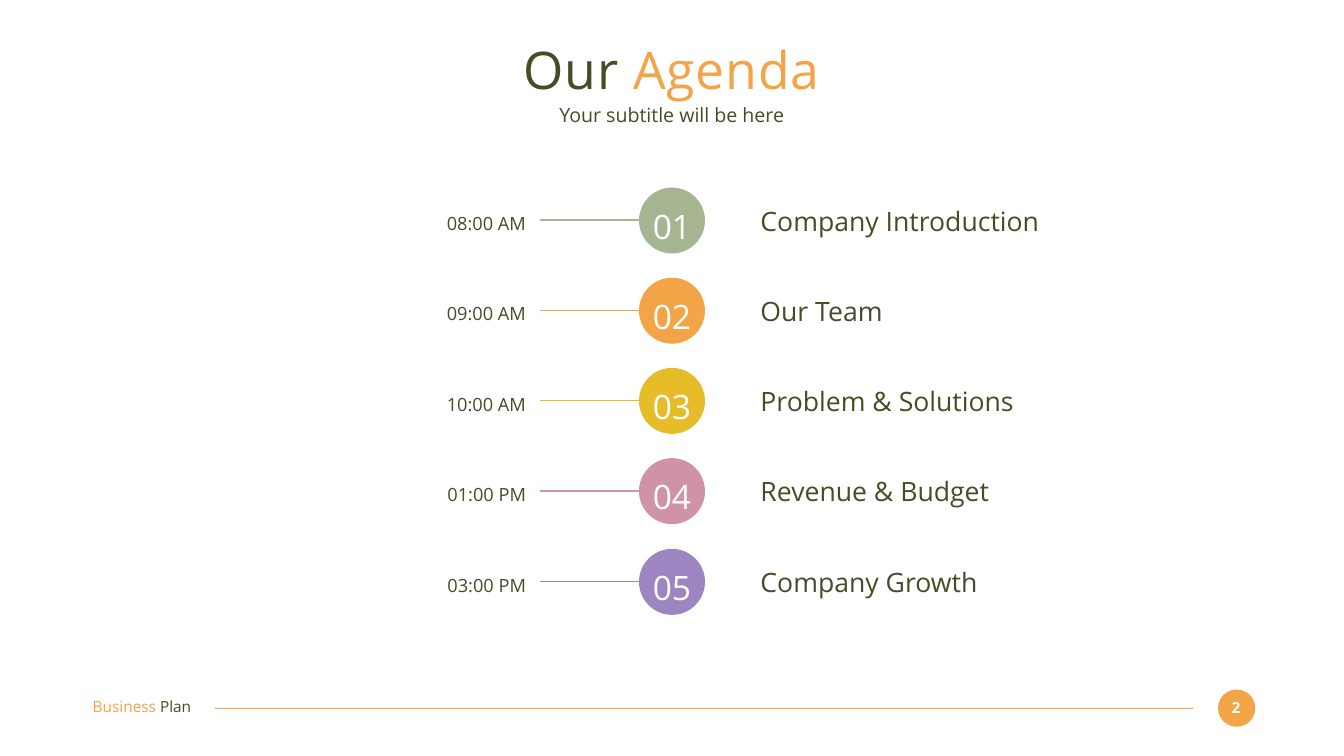
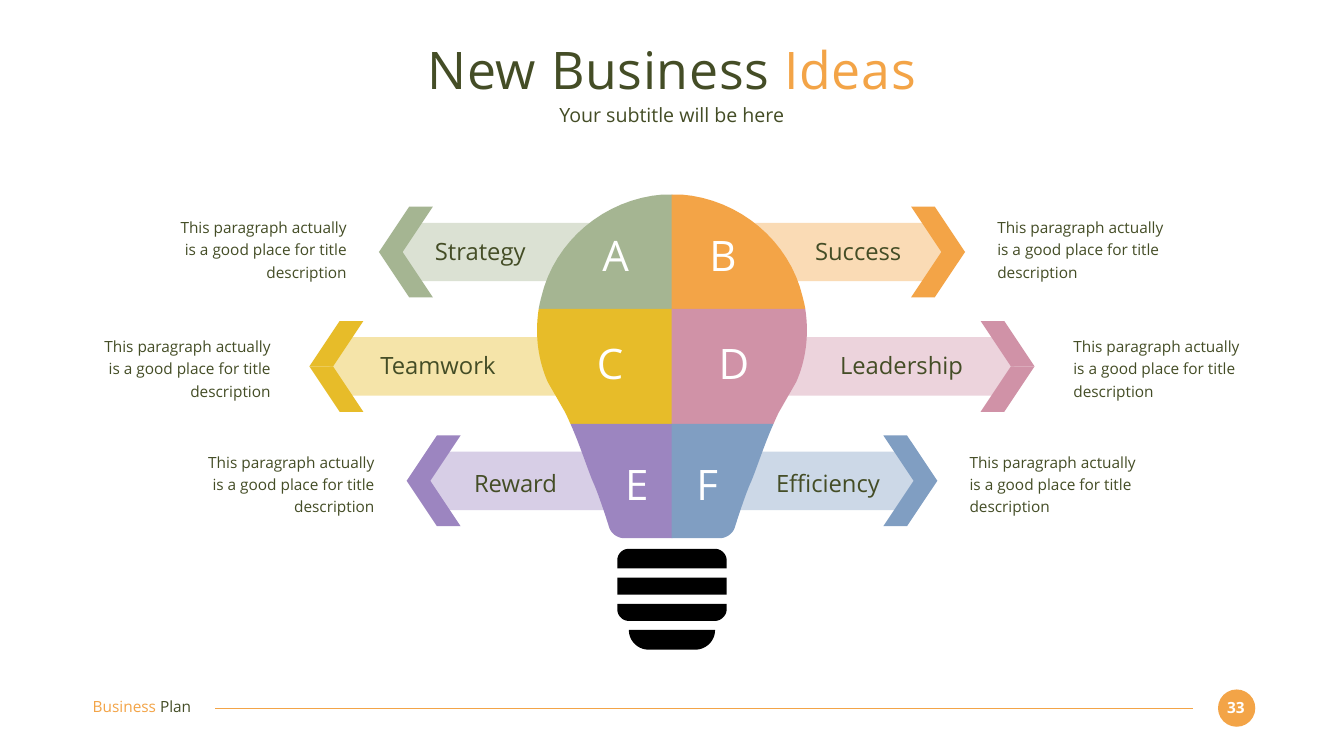
from dataclasses import dataclass

from lxml import etree
from pptx import Presentation
from pptx.dml.color import RGBColor
from pptx.enum.shapes import MSO_CONNECTOR, MSO_SHAPE
from pptx.enum.text import MSO_ANCHOR, MSO_AUTO_SIZE, PP_ALIGN
from pptx.oxml.ns import qn
from pptx.util import Emu, Pt

# Enum members
LEFT, CENTER, RIGHT = PP_ALIGN.LEFT, PP_ALIGN.CENTER, PP_ALIGN.RIGHT
TOP, MIDDLE = MSO_ANCHOR.TOP, MSO_ANCHOR.MIDDLE
GROW, FIXED = MSO_AUTO_SIZE.SHAPE_TO_FIT_TEXT, MSO_AUTO_SIZE.NONE
OVAL, STRAIGHT = MSO_SHAPE.OVAL, MSO_CONNECTOR.STRAIGHT

# Lengths are px, 100 to the inch
SCALE = 9144
WIDTH, HEIGHT = 2667, 1500
FONT = "Open Sans"

# Colours
WHITE = RGBColor(0xFF, 0xFF, 0xFF)
BLACK = RGBColor(0x00, 0x00, 0x00)
DARK = RGBColor(0x44, 0x4D, 0x26)
ORANGE = RGBColor(0xF3, 0xA4, 0x47)
GREEN = RGBColor(0xA5, 0xB5, 0x92)
GOLD = RGBColor(0xE7, 0xBC, 0x29)
ROSE = RGBColor(0xD0, 0x92, 0xA7)
PURPLE = RGBColor(0x9C, 0x85, 0xC0)
BLUE = RGBColor(0x80, 0x9E, 0xC2)
TINTS = {
    GREEN: RGBColor(0xDB, 0xE1, 0xD3),
    ORANGE: RGBColor(0xFA, 0xDB, 0xB5),
    GOLD: RGBColor(0xF5, 0xE4, 0xA9),
    ROSE: RGBColor(0xEC, 0xD3, 0xDC),
    PURPLE: RGBColor(0xD7, 0xCE, 0xE6),
    BLUE: RGBColor(0xCC, 0xD8, 0xE7),
}

Box = tuple[int, int, int, int]
Run = tuple[str, RGBColor]
Step = tuple[int, ...]


@dataclass(frozen=True)
class Look:
    size: int
    align: PP_ALIGN = LEFT
    lead: float = 1.0
    bold: bool = False
    track: int = 0


@dataclass(frozen=True)
class Entry:
    time: str
    topic: str
    color: RGBColor


@dataclass(frozen=True)
class Idea:
    letter: str
    label: str
    color: RGBColor
    letter_x: int
    label_x: int


@dataclass(frozen=True)
class Row:
    mid: int
    tip: int
    inner: int
    note_x: int
    note_y: int
    letter_y: int
    label_y: int
    label_w: int
    pair: tuple[Idea, Idea]
    bulb: list[Step]


TITLE = Look(74, CENTER, track=100)
SUB = Look(28, CENTER)
FOOT = Look(22)
PAGE = Look(22, CENTER, bold=True)
NUMBER = Look(48, CENTER, 1.2)
TIME = Look(26, RIGHT, 1.2)
TOPIC = Look(38)
LETTER = Look(60, CENTER)
LABEL = Look(34, CENTER)


# Drawing helpers
def put(target: object, values: dict) -> None:
    for name, value in values.items():
        setattr(target, name, value)


def place(shape, box: Box) -> None:
    put(shape, dict(zip(("left", "top", "width", "height"), emu(*box))))


def emu(*lengths: float) -> list[Emu]:
    return [Emu(round(n * SCALE)) for n in lengths]


def write(frame, runs: list[Run], look: Look, anchor=TOP, fit=GROW) -> None:
    put(frame, {"word_wrap": True, "auto_size": fit, "vertical_anchor": anchor,
                "margin_left": 0, "margin_top": 0,
                "margin_right": 0, "margin_bottom": 0})
    line = frame.paragraphs[0]
    put(line, {"alignment": look.align, "line_spacing": look.lead,
               "space_before": Pt(0)})
    for text, color in runs:
        run = line.add_run()
        run.text = text
        put(run.font, {"name": FONT, "size": Pt(look.size), "bold": look.bold})
        run.font.color.rgb = color
        if look.track:
            props = run.font._element
            props.set("cap", "none")
            props.set("spc", str(look.track))


def label(slide, box: Box, runs: list[Run], look: Look) -> None:
    write(slide.shapes.add_textbox(*emu(*box)).text_frame, runs, look)


def paint(shape, color: RGBColor) -> None:
    shape.shadow.inherit = False
    shape.fill.solid()
    shape.fill.fore_color.rgb = color
    shape.line.fill.background()


def disc(slide, x: int, y: int, size: int, color: RGBColor) -> None:
    paint(slide.shapes.add_shape(OVAL, *emu(x, y, size, size)), color)


def rule(slide, start: int, end: int, y: int, color: RGBColor,
         weight: float) -> None:
    line = slide.shapes.add_connector(STRAIGHT, *emu(start, y, end, y))
    line.line.color.rgb = color
    line.line.width = Pt(weight)
    etree.SubElement(line._element.spPr, qn("a:effectLst"))


def trace(steps: list[Step], parts: int = 16) -> list[tuple[float, float]]:
    """Turn points and cubic curves (six numbers) into plain points."""
    points = [steps[0]]
    for step in steps[1:]:
        if len(step) == 2:
            points.append(step)
            continue
        ctrl = [points[-1], step[:2], step[2:4], step[4:]]
        for i in range(1, parts + 1):
            t = i / parts
            mix = ((1 - t) ** 3, 3 * t * (1 - t) ** 2,
                   3 * t * t * (1 - t), t ** 3)
            points.append(tuple(sum(m * p[axis] for m, p in zip(mix, ctrl))
                                for axis in (0, 1)))
    return points


def outline(slide, color: RGBColor, *loops: list[Step],
            flip: bool = False) -> None:
    builder = None
    for loop in loops:
        points = [emu(WIDTH - x if flip else x, y) for x, y in trace(loop)]
        if builder is None:
            builder = slide.shapes.build_freeform(*points[0], scale=1.0)
        else:
            builder.move_to(*points[0])
        builder.add_line_segments(points[1:], close=True)
    paint(builder.convert_to_shape(), color)


# Shared frame: title, subtitle, footer
def start(deck, plain: str, accent: str, page: int):
    slide = deck.slides.add_slide(deck.slide_layouts[2])
    head, sub = slide.placeholders[0], slide.placeholders[1]
    place(head, (183, 73, 2300, 127))
    write(head.text_frame, [(plain, DARK), (accent, ORANGE)], TITLE,
          MIDDLE, FIXED)
    place(sub, (183, 203, 2300, 49))
    write(sub.text_frame, [("Your subtitle will be here", DARK)], SUB,
          MIDDLE, FIXED)
    disc(slide, 2417, 1368, 74, ORANGE)
    label(slide, (2423, 1385, 59, 37), [(str(page), WHITE)], PAGE)
    rule(slide, 2367, 427, 1405, ORANGE, 1.5)
    label(slide, (184, 1384, 259, 37),
          [("Business ", ORANGE), ("Plan", DARK)], FOOT)
    return slide


# Agenda
AGENDA = [
    Entry("08:00 AM", "Company Introduction", GREEN),
    Entry("09:00 AM", "Our Team", ORANGE),
    Entry("10:00 AM", "Problem & Solutions", GOLD),
    Entry("01:00 PM", "Revenue & Budget", ROSE),
    Entry("03:00 PM", "Company Growth", PURPLE),
]


def agenda(deck) -> None:
    slide = start(deck, "Our ", "Agenda", 2)
    for i, item in enumerate(AGENDA):
        y = 372 + 717 * i // 4
        disc(slide, 1268, y, 131, item.color)
        rule(slide, 1071, 1268, y + 65, item.color, 2.25)
        label(slide, (1282, y + 20, 103, 97), [(f"{i + 1:02}", WHITE)], NUMBER)
        label(slide, (690, y + 41, 354, 53), [(item.time, DARK)], TIME)
        label(slide, (1509, y + 34, 629, 64), [(item.topic, DARK)], TOPIC)


# Ideas: each row holds left-side geometry, mirrored for the right
NOTE = "This paragraph actually is a good place for title description"
AXIS = 1334
ROWS = [
    Row(500, 752, 1270, 334, 426, 455, 470, 268,
        (Idea("A", "Strategy", GREEN, 1168, 819),
         Idea("B", "Success", ORANGE, 1381, 1569)),
        [(AXIS, 613), (AXIS, 386), (1315, 386),
         (1200, 395, 1100, 478, 1074, 590),
         (1072, 598, 1070, 606, 1069, 613)]),
    Row(727, 614, 1270, 183, 662, 669, 695, 370,
        (Idea("C", "Teamwork", GOLD, 1157, 684),
         Idea("D", "Leadership", ROSE, 1403, 1604)),
        [(AXIS, 613), (1069, 613), (1061, 665, 1068, 715, 1087, 758),
         (1118, 812), (1123, 820, 1127, 830, 1132, 841), (AXIS, 841)]),
    Row(954, 807, 1325, 389, 891, 909, 930, 268,
        (Idea("E", "Reward", PURPLE, 1210, 889),
         Idea("F", "Efficiency", BLUE, 1350, 1509)),
        [(AXIS, 841), (1132, 841), (1151, 883, 1169, 940, 1178, 959),
         (1186, 977, 1200, 1018, 1209, 1047),
         (1213, 1059, 1226, 1068, 1239, 1068), (AXIS, 1068)]),
]
SOCKET = [
    [(1248, 1250), (1419, 1250), (1419, 1272, 1401, 1289, 1380, 1289),
     (1287, 1289), (1266, 1289, 1248, 1272, 1248, 1250)],
    [(1225, 1198), (1442, 1198), (1442, 1209),
     (1442, 1221, 1431, 1232, 1419, 1232), (1248, 1232),
     (1235, 1232, 1225, 1221, 1225, 1209)],
    [(1225, 1146), (1442, 1146), (1442, 1180), (1225, 1180)],
    [(1248, 1089), (1419, 1089), (1431, 1089, 1442, 1099, 1442, 1112),
     (1442, 1128), (1225, 1128), (1225, 1112),
     (1225, 1099, 1235, 1089, 1248, 1089)],
]


def branch(slide, row: Row, idea: Idea, flip: bool) -> None:
    tip, mid, tail = row.tip, row.mid, row.tip + 75
    outline(slide, TINTS[idea.color],
            [(tail, mid + 58), (row.inner, mid + 58), (row.inner, mid - 58),
             (tail, mid - 58), (tip + 40, mid)], flip=flip)
    for end in (mid - 90, mid + 90):
        outline(slide, idea.color,
                [(tip, mid), (tip + 47, mid), (tip + 107, end),
                 (tip + 60, end)], flip=flip)
    outline(slide, idea.color, row.bulb, flip=flip)
    note_x = WIDTH - row.note_x - 354 if flip else row.note_x
    label(slide, (note_x, row.note_y, 354, 133), [(NOTE, DARK)],
          Look(22, LEFT if flip else RIGHT, 1.2))
    label(slide, (idea.letter_x, row.letter_y, 107, 101),
          [(idea.letter, WHITE)], LETTER)
    label(slide, (idea.label_x, row.label_y, row.label_w, 57),
          [(idea.label, DARK)], LABEL)


def ideas(deck) -> None:
    slide = start(deck, "New Business ", "Ideas", 33)
    for row in ROWS:
        for side, idea in enumerate(row.pair):
            branch(slide, row, idea, side == 1)
    outline(slide, BLACK, *SOCKET)


def main() -> None:
    deck = Presentation()
    deck.slide_width, deck.slide_height = emu(WIDTH, HEIGHT)
    agenda(deck)
    ideas(deck)
    deck.save("out.pptx")


if __name__ == "__main__":
    main()
